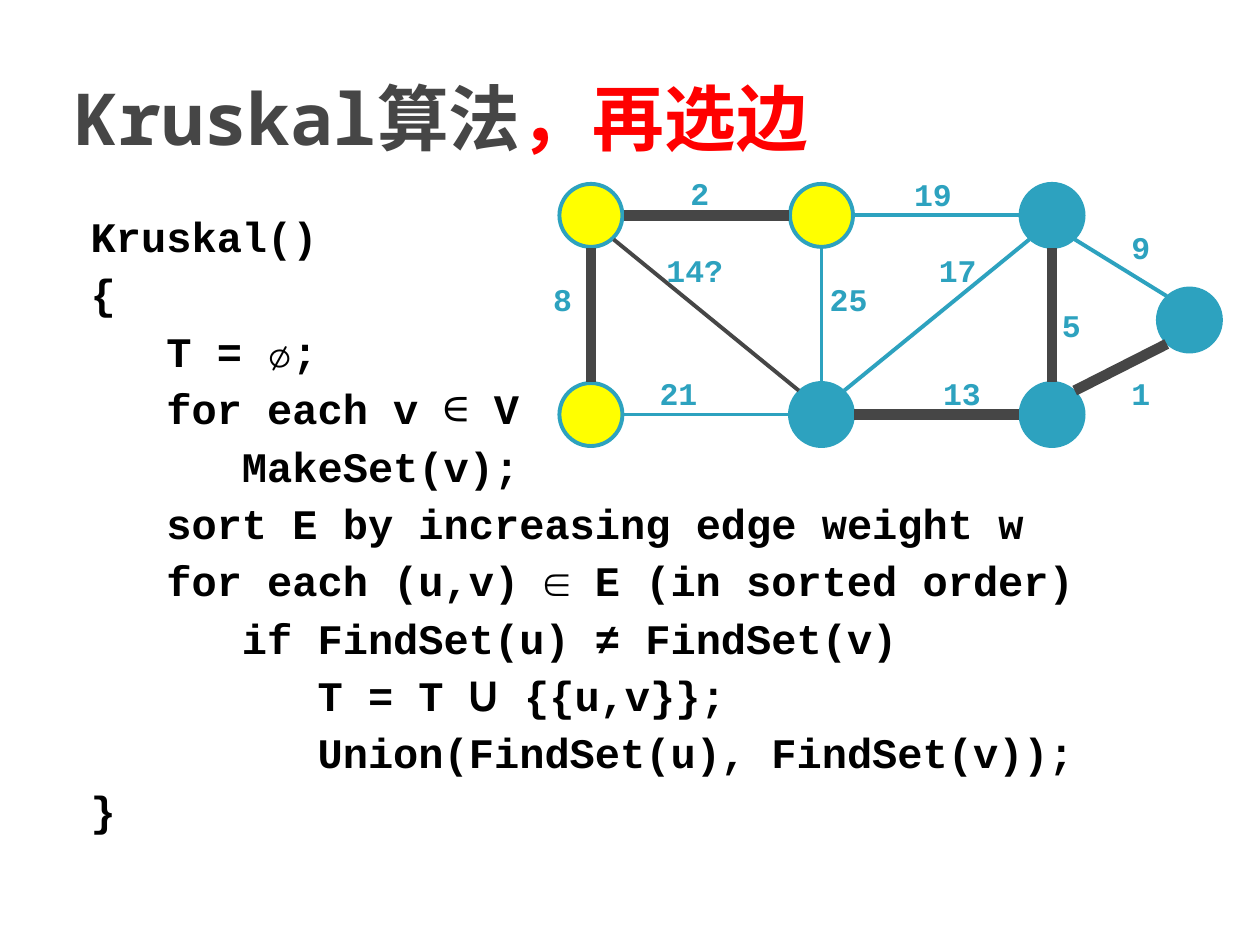
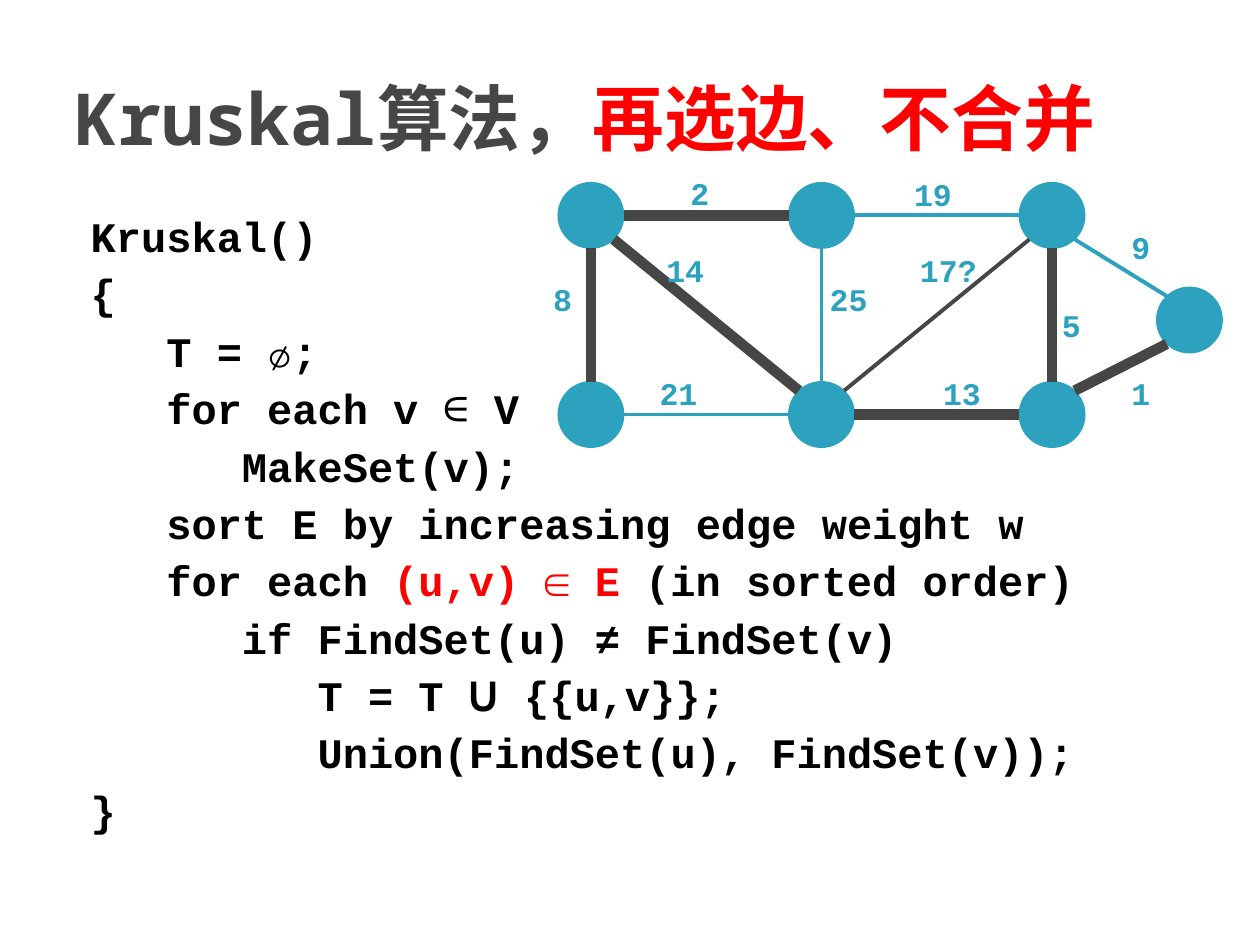
"""Build two slides that trace edge choices in the Kruskal algorithm."""
import dataclasses
import typing

import pptx
import pptx.dml.color
import pptx.enum.shapes
import pptx.enum.text
import pptx.oxml.ns
import pptx.slide
import pptx.text.text
import pptx.util
from lxml import etree

RGB = pptx.dml.color.RGBColor
ALIGN = pptx.enum.text.PP_ALIGN
ANCHOR = pptx.enum.text.MSO_ANCHOR
FIT = pptx.enum.text.MSO_AUTO_SIZE
Pt = pptx.util.Pt
qn = pptx.oxml.ns.qn

TEAL = RGB(0x2D, 0xA2, 0xBF)
GRAY = RGB(0x46, 0x46, 0x46)
RED = RGB(0xFF, 0x00, 0x00)
BLACK = RGB(0x00, 0x00, 0x00)
GOLD = RGB(0xFF, 0xFF, 0x00)
MONO = "Noto Sans Mono"
CODE = "Courier New"
THIN, THICK = Pt(2.25), Pt(6)

SCALE = 9144
SIDE = 50
REACH = (26, 26)
SLANT = (18, 19)

TITLE = {"left": 50, "top": 30, "width": 900, "height": 125}
BODY = {"left": 50, "top": 162, "width": 900, "height": 495}


class Run(typing.NamedTuple):
    text: str
    color: RGB = BLACK
    face: str = CODE
    bold: bool = True


class Edge(typing.NamedTuple):
    start: str
    end: str
    weight: int
    left: int
    top: int
    align: ALIGN = ALIGN.CENTER


@dataclasses.dataclass
class Step:
    title: list[Run]
    pair: list[Run]
    chosen: set[int]
    trial: int
    marked: str


NODES = {
    "A": (469, 171), "B": (652, 171), "C": (835, 171), "D": (835, 329),
    "E": (944, 254), "F": (652, 329), "G": (469, 329),
}
EDGES = [
    Edge("A", "B", 2, 537, 133),
    Edge("B", "C", 19, 714, 134),
    Edge("C", "F", 17, 732, 194, ALIGN.RIGHT),
    Edge("F", "G", 21, 512, 292),
    Edge("G", "A", 8, 428, 217),
    Edge("A", "F", 14, 519, 194, ALIGN.LEFT),
    Edge("F", "B", 25, 647, 217),
    Edge("F", "D", 13, 737, 292),
    Edge("D", "C", 5, 833, 238, ALIGN.LEFT),
    Edge("C", "E", 9, 887, 176),
    Edge("D", "E", 1, 887, 292),
]
FIRST = {1, 2, 5, 8, 13}
STEPS = [
    Step([Run("Kruskal算法", GRAY, MONO), Run("，再选边", RED, MONO)],
         [Run("(u,v) ∈ E ")], FIRST, 14, "ABG"),
    Step([Run("Kruskal算法，", GRAY, MONO), Run("再选边、不合并", RED, MONO)],
         [Run("(u,v) ∈ E ", RED)], FIRST | {14}, 17, ""),
]


def px(size: int) -> int:
    """Turn a length into EMU."""
    return size * SCALE


def style(item: typing.Any, form: dict[str, typing.Any]) -> None:
    """Set each format value on an item."""
    for name, value in form.items():
        setattr(item, name, value)


def place(item: typing.Any, box: dict[str, int]) -> None:
    """Move an item to its box."""
    style(item, {name: px(size) for name, size in box.items()})


def write(para: pptx.text.text._Paragraph, runs: list[Run], size: int) -> None:
    """Add formatted runs to a paragraph."""
    for part in runs:
        run = para.add_run()
        run.text = part.text
        style(run.font, {"size": Pt(size), "name": part.face, "bold": part.bold})
        run.font.color.rgb = part.color
        latin = run.font._element.find(qn("a:latin"))
        east = etree.Element(qn("a:ea"), typeface=part.face)
        latin.addnext(east)


def code(pair: list[Run]) -> list[list[Run]]:
    """List the lines of code around the given pair."""
    return [
        [Run("Kruskal()")],
        [Run("{")],
        [Run("   T = ∅;")],
        [Run("   for each v "), Run("∈", face=MONO, bold=False), Run(" V")],
        [Run("      MakeSet(v);")],
        [Run("   sort E by increasing edge weight w")],
        [Run("   for each "), *pair, Run("(in sorted order)")],
        [Run("      if FindSet(u) ≠ FindSet(v)")],
        [Run("         T = T "), Run("U", face="Cabin"), Run(" {{u,v}};")],
        [Run("         Union(FindSet(u), FindSet(v));")],
        [Run("}")],
    ]


def draw_text(slide: pptx.slide.Slide, step: Step) -> None:
    """Fill the title and the body."""
    title, body = slide.shapes.title, slide.placeholders[1]
    place(title, TITLE)
    place(body, BODY)
    style(title.text_frame, {"auto_size": FIT.NONE, "vertical_anchor": ANCHOR.MIDDLE})
    head = title.text_frame.paragraphs[0]
    head.alignment = ALIGN.LEFT
    write(head, step.title, 41)
    frame = body.text_frame
    style(frame, {"auto_size": FIT.NONE, "vertical_anchor": ANCHOR.TOP,
                  "margin_top": px(5)})
    for row, runs in enumerate(code(step.pair)):
        para = frame.add_paragraph() if row else frame.paragraphs[0]
        para.space_before = Pt(4 if row else 0)
        props = para._p.get_or_add_pPr()
        props.set("marL", str(px(40)))
        props.set("indent", str(px(-28)))
        etree.SubElement(props, qn("a:buNone"))
        write(para, runs, 24)


def draw_node(slide: pptx.slide.Slide, spot: tuple[int, int], fill: RGB) -> None:
    """Draw a round node about its centre."""
    left, top = (px(mid - SIDE // 2) for mid in spot)
    oval = pptx.enum.shapes.MSO_SHAPE.OVAL
    node = slide.shapes.add_shape(oval, left, top, px(SIDE), px(SIDE))
    node.shadow.inherit = False
    node.fill.solid()
    node.fill.fore_color.rgb = fill
    node.line.color.rgb = TEAL
    node.line.width = THIN


def draw_edge(slide: pptx.slide.Slide, edge: Edge, step: Step) -> None:
    """Join two nodes from rim to rim."""
    (ax, ay), (bx, by) = NODES[edge.start], NODES[edge.end]
    wide, high = SLANT if ax != bx and ay != by else REACH
    dx = wide * ((bx > ax) - (bx < ax))
    dy = high * ((by > ay) - (by < ay))
    ends = (px(size) for size in (ax + dx, ay + dy, bx - dx, by - dy))
    line = slide.shapes.add_connector(pptx.enum.shapes.MSO_CONNECTOR.STRAIGHT, *ends)
    etree.SubElement(line._element.spPr, qn("a:effectLst"))
    thick = edge.weight in step.chosen
    line.line.color.rgb = GRAY if thick or edge.weight == step.trial else TEAL
    line.line.width = THICK if thick else THIN


def draw_weight(slide: pptx.slide.Slide, edge: Edge, trial: int) -> None:
    """Write the weight of an edge."""
    base = str(edge.weight)
    text = base + "?" * (edge.weight == trial)
    wide = 21 + 16 * len(text)
    left = edge.left
    if edge.align == ALIGN.RIGHT:
        left -= 16 * (len(text) - len(base))
    box = slide.shapes.add_textbox(px(left), px(edge.top), px(wide), px(43))
    style(box.text_frame, {"word_wrap": False, "auto_size": FIT.SHAPE_TO_FIT_TEXT})
    para = box.text_frame.paragraphs[0]
    para.alignment = edge.align
    write(para, [Run(text, TEAL)], 18)


def draw_graph(slide: pptx.slide.Slide, step: Step) -> None:
    """Draw nodes, then edges, then weights."""
    for name, spot in NODES.items():
        draw_node(slide, spot, GOLD if name in step.marked else TEAL)
    for edge in EDGES:
        draw_edge(slide, edge, step)
    for edge in EDGES:
        draw_weight(slide, edge, step.trial)


def main() -> None:
    """Build and save the deck."""
    deck = pptx.Presentation()
    style(deck, {"slide_width": px(1000), "slide_height": px(750)})
    for step in STEPS:
        slide = deck.slides.add_slide(deck.slide_layouts[1])
        draw_text(slide, step)
        draw_graph(slide, step)
    deck.save("out.pptx")


if __name__ == "__main__":
    main()
